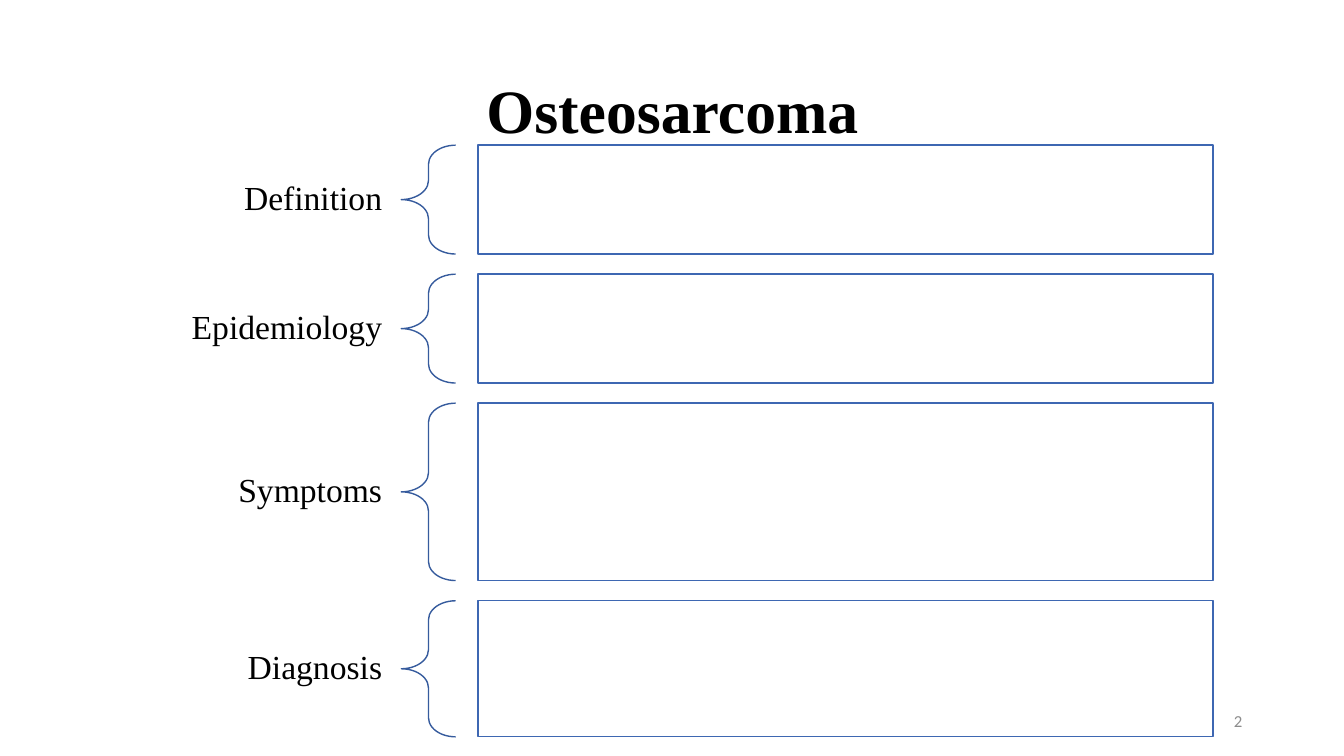
from dataclasses import dataclass

from pptx import Presentation, util as u
from pptx.dml.color import RGBColor
from pptx.enum import shapes, text


@dataclass(frozen=True)
class Theme:
    heading_font: str = "Times New Roman"
    number_font: str = "Calibri"
    ink: str = "000000"
    muted: str = "8C8C8C"
    paper: str = "FFFFFF"
    brace_line: str = "365B9D"
    panel_line: str = "3E67B2"
    title_size: int = 44
    label_size: int = 24
    number_size: int = 12
    line_width: int = 1


@dataclass(frozen=True)
class Box:
    """Left, top, width and height in inches."""
    left: float
    top: float
    width: float
    height: float

    def lengths(self):
        return [u.Inches(value) for value in
                (self.left, self.top, self.width, self.height)]


THEME = Theme()
TOPICS = [("Definition", 1.08), ("Epidemiology", 1.08),
          ("Symptoms", 1.76), ("Diagnosis", 1.35)]
TOPIC_GAP = 0.2
LABEL_WIDTH, LABEL_HEIGHT = 2.68, 1.08
BRACE_WIDTH = 0.54
PANEL_OFFSET = 3.44


def add_text(slide, box, wording, font, size, color, align,
             bold=False, side_inset=0.1, inset=0.05, line_spacing=1.0):
    frame = slide.shapes.add_textbox(*box.lengths()).text_frame
    frame.word_wrap = True
    frame.vertical_anchor = text.MSO_ANCHOR.MIDDLE
    frame.margin_left = frame.margin_right = u.Inches(side_inset)
    frame.margin_top = frame.margin_bottom = u.Inches(inset)
    paragraph = frame.paragraphs[0]
    paragraph.alignment = align
    paragraph.line_spacing = line_spacing
    run = paragraph.add_run()
    run.text = wording
    run.font.name = font
    run.font.size = u.Pt(size)
    run.font.bold = bold
    run.font.color.rgb = RGBColor.from_string(color)


def add_outline(slide, kind, box, line_color, fill=None):
    shape = slide.shapes.add_shape(kind, *box.lengths())
    shape.shadow.inherit = False
    if fill:
        shape.fill.solid()
        shape.fill.fore_color.rgb = RGBColor.from_string(fill)
    else:
        shape.fill.background()
    shape.line.color.rgb = RGBColor.from_string(line_color)
    shape.line.width = u.Pt(THEME.line_width)
    return shape


def add_title(slide, box):
    add_text(slide, box, "Osteosarcoma", THEME.heading_font, THEME.title_size,
             THEME.ink, text.PP_ALIGN.CENTER, bold=True, line_spacing=0.9)


def add_topic(slide, box, label):
    """Place a label, its brace and an empty panel across the box."""
    label_top = box.top + (box.height - LABEL_HEIGHT) / 2
    add_text(slide, Box(box.left, label_top, LABEL_WIDTH, LABEL_HEIGHT), label,
             THEME.heading_font, THEME.label_size, THEME.ink,
             text.PP_ALIGN.RIGHT, side_inset=0.19, inset=0.07, line_spacing=0.9)
    brace = add_outline(
        slide, shapes.MSO_SHAPE.LEFT_BRACE,
        Box(box.left + LABEL_WIDTH, box.top, BRACE_WIDTH, box.height),
        THEME.brace_line)
    brace.adjustments[0] = 0.35
    brace.adjustments[1] = 0.5
    add_outline(
        slide, shapes.MSO_SHAPE.RECTANGLE,
        Box(box.left + PANEL_OFFSET, box.top,
            box.width - PANEL_OFFSET, box.height),
        THEME.panel_line, THEME.paper)


def add_topics(slide, left, top, width):
    for label, height in TOPICS:
        add_topic(slide, Box(left, top, width, height), label)
        top += height + TOPIC_GAP


def add_slide_number(slide, box):
    add_text(slide, box, "2", THEME.number_font, THEME.number_size,
             THEME.muted, text.PP_ALIGN.RIGHT)


def main():
    presentation = Presentation()
    presentation.slide_width = u.Inches(13.33)
    presentation.slide_height = u.Inches(7.5)
    slide = presentation.slides.add_slide(presentation.slide_layouts[6])
    add_title(slide, Box(0.92, 0.4, 11.5, 1.45))
    add_topics(slide, left=1.3, top=1.44, width=10.73)
    add_slide_number(slide, Box(9.42, 6.95, 3, 0.4))
    presentation.save("out.pptx")


if __name__ == "__main__":
    main()
